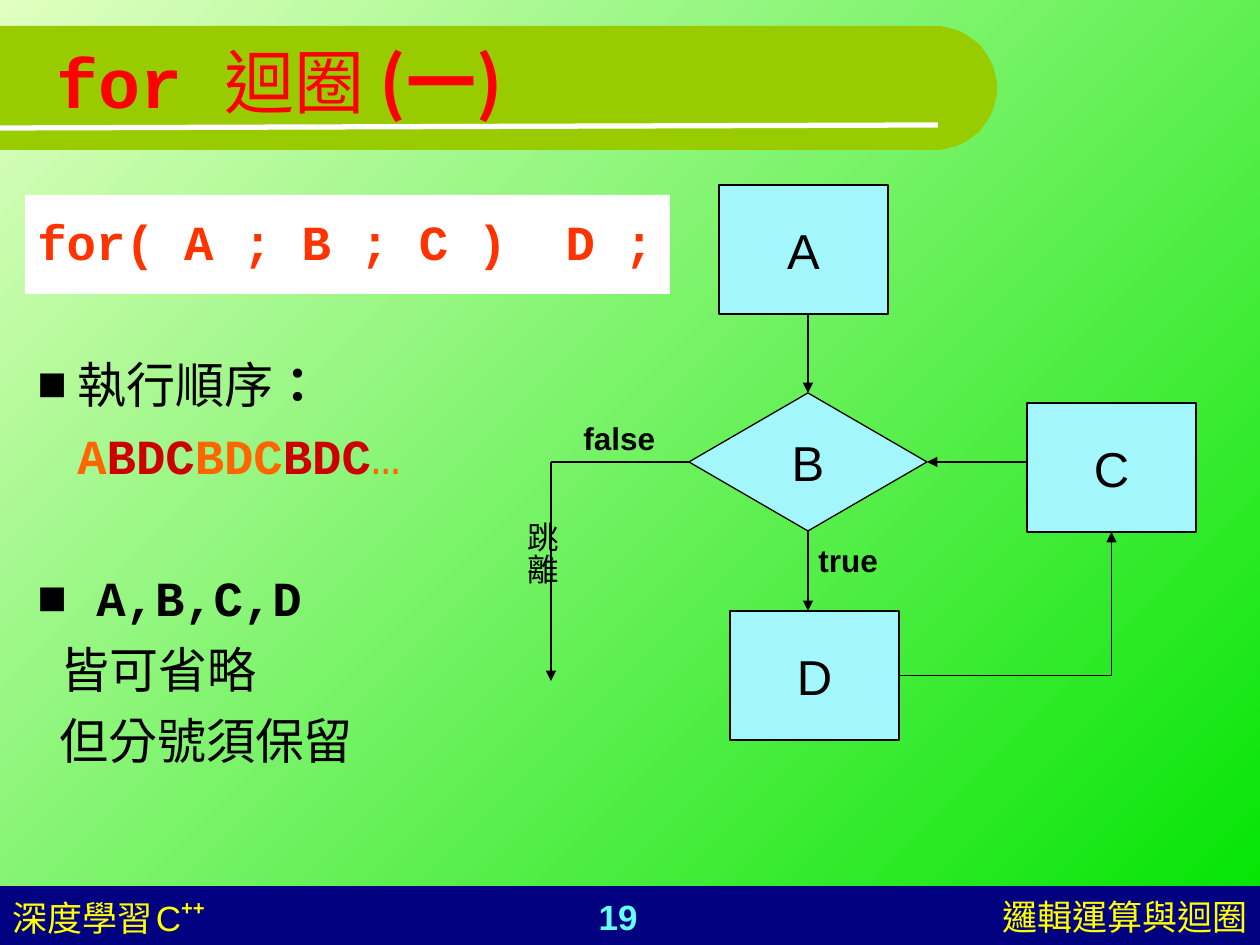
from dataclasses import dataclass
from math import cos, pi, sin

from lxml.etree import SubElement
from pptx import Presentation
from pptx.dml.color import RGBColor
from pptx.enum.shapes import MSO_CONNECTOR as Link, MSO_SHAPE as Shape
from pptx.enum.text import MSO_ANCHOR as Anchor, MSO_AUTO_SIZE as Fit, PP_ALIGN as Align
from pptx.oxml.ns import qn
from pptx.util import Emu, Pt

SCALE = 914400 / 126  # EMU in one px
TOP, LEFT, BOTTOM, RIGHT = range(4)


def px(n):
    return Emu(round(n * SCALE))


@dataclass(frozen=True)
class Theme:
    sans: str = "Arial"
    mono: str = "Courier New"
    cjk: str = "Noto Sans CJK SC"
    title_size: int = 40
    body_size: int = 28
    foot_size: int = 20
    label_size: int = 18
    bg_from: str = "E0FFC1"
    bg_to: str = "00E400"
    band: str = "99CC00"
    navy: str = "000080"
    white: str = "FFFFFF"
    black: str = "000000"
    box: str = "A2F6FC"
    title: str = "FF0000"
    code: str = "FF3300"
    orange: str = "FF6600"
    red: str = "CC0000"
    yellow: str = "FFFF00"
    cyan: str = "66FFFF"


class Deck:
    def __init__(self, theme):
        self.t = theme
        self.prs = Presentation()
        self.prs.slide_width, self.prs.slide_height = px(1260), px(945)
        self.s = self.prs.slides.add_slide(self.prs.slide_layouts[5])

    def background(self):
        fill = self.s.background.fill
        fill.gradient()
        fill.gradient_angle = 315
        for stop, color in zip(fill.gradient_stops, (self.t.bg_from, self.t.bg_to)):
            stop.color.rgb = RGBColor.from_string(color)

    def paint(self, sp, fill, line=None):
        sp.shadow.inherit = False
        sp.fill.solid()
        sp.fill.fore_color.rgb = RGBColor.from_string(fill)
        if line:
            sp.line.color.rgb = RGBColor.from_string(line)
            sp.line.width = Pt(0.75)
        else:
            sp.line.fill.background()
        return sp

    def shape(self, kind, box, fill, line=None):
        return self.paint(self.s.shapes.add_shape(kind, *map(px, box)), fill, line)

    def outline(self, points, fill):
        builder = self.s.shapes.build_freeform(*points[0], scale=SCALE)
        builder.add_line_segments(points[1:], close=True)
        return self.paint(builder.convert_to_shape(), fill)

    def run(self, p, text, size, color, name, bold=False, raised=False):
        r = p.add_run()
        r.text = text
        font = {"size": Pt(size), "name": name, "bold": bold}
        for key, value in font.items():
            setattr(r.font, key, value)
        r.font.color.rgb = RGBColor.from_string(color)
        r_pr = r.font._element
        r_pr.set("lang", "zh-TW")
        SubElement(r_pr, qn("a:ea"), typeface=self.t.cjk)
        if raised:
            r_pr.set("baseline", "46000")

    def para(self, p, runs, base, align=Align.LEFT, before=0, margin=0, bullet=False):
        p_pr = p._p.get_or_add_pPr()
        p_pr.set("marL", str(px(margin)))
        p_pr.set("indent", str(px(-margin if bullet else 0)))
        if bullet:
            color = SubElement(p_pr, qn("a:buClr"))
            SubElement(color, qn("a:srgbClr"), val=self.t.black)
            SubElement(p_pr, qn("a:buFont"), typeface=self.t.sans)
            SubElement(p_pr, qn("a:buChar"), char="■")
        else:
            SubElement(p_pr, qn("a:buNone"))
        p.alignment = align
        p.space_before = Pt(before)
        for text, changes in runs:
            self.run(p, text, **{**base, **changes})

    def text(self, box, paras, base, wrap=True, vertical=False):
        sp = self.s.shapes.add_textbox(*map(px, box))
        tf = sp.text_frame
        tf.word_wrap = wrap
        tf.auto_size = Fit.NONE if wrap else Fit.SHAPE_TO_FIT_TEXT
        if vertical:
            tf._txBody.bodyPr.set("vert", "eaVert")
            for side, gap in {"left": 6, "right": 6, "top": 13, "bottom": 13}.items():
                setattr(tf, f"margin_{side}", px(gap))
        for i, (runs, options) in enumerate(paras):
            p = tf.add_paragraph() if i else tf.paragraphs[0]
            self.para(p, runs, base, **options)

    def title(self, box, runs, base):
        sp = self.s.shapes.title
        for key, value in zip(("left", "top", "width", "height"), box):
            setattr(sp, key, px(value))
        tf = sp.text_frame
        tf.vertical_anchor, tf.word_wrap, tf.auto_size = Anchor.MIDDLE, True, Fit.NONE
        self.para(tf.paragraphs[0], runs, base)
        self.s.shapes._spTree.append(sp._element)  # bring in front of the band

    def node(self, kind, box, name):
        sp = self.shape(kind, box, self.t.box, self.t.black)
        sp.text_frame.word_wrap = False
        sp.text_frame.vertical_anchor = Anchor.MIDDLE
        base = {"size": self.t.body_size, "color": self.t.black, "name": self.t.sans}
        self.para(sp.text_frame.paragraphs[0], [(name, {})], base, Align.CENTER)
        return sp

    def line(self, start, end, begin=None, finish=None, color=None, width=0.75,
             arrow=True, bent=False):
        kind = Link.ELBOW if bent else Link.STRAIGHT
        c = self.s.shapes.add_connector(kind, *map(px, (*start, *end)))
        if begin:
            c.begin_connect(*begin)
        if finish:
            c.end_connect(*finish)
        c.line.color.rgb = RGBColor.from_string(color or self.t.black)
        c.line.width = Pt(width)
        sp_pr = c._element.spPr
        if bent:
            sp_pr.find(qn("a:prstGeom")).set("prst", "bentConnector2")
        if arrow:
            SubElement(c.line._get_or_add_ln(), qn("a:tailEnd"), type="triangle")
        SubElement(sp_pr, qn("a:effectLst"))


def main():
    t = Theme()
    d = Deck(t)
    d.background()

    # Footer bar and title band with a round end
    d.shape(Shape.RECTANGLE, (0, 886, 1260, 59), t.navy)
    arc = [(935 + 62 * cos(a), 88 + 62 * sin(a))
           for a in (pi * (i / 40 - 0.5) for i in range(41))]
    d.outline([(0, 26), *arc, (0, 150)], t.band)
    d.line((0, 128), (938, 125), color=t.white, width=3, arrow=False)

    # Footer texts
    foot = {"size": t.foot_size, "color": t.yellow, "name": t.sans}
    d.text((471, 889, 294, 55), [([("19", {"color": t.cyan, "bold": True})],
                                  {"align": Align.CENTER})], foot)
    d.text((848, 889, 412, 55), [([("邏輯運算與迴圈", {})], {"align": Align.RIGHT})], foot)
    d.text((0, 889, 451, 55), [([("深度學習", {}), (" ", {"size": 8}), ("C", {}),
                                 ("++", {"bold": True, "raised": True})], {})], foot)

    # Title
    d.title((44, 26, 1180, 110),
            [("for ", {}), ("迴圈 ", {"bold": False}), ("(一)", {"name": t.cjk})],
            {"size": t.title_size, "color": t.title, "name": t.mono, "bold": True})

    # Syntax and order of execution
    d.shape(Shape.RECTANGLE, (25, 195, 645, 99), t.white)
    orange, red, plain = {"color": t.orange}, {"color": t.red}, {"bold": False}
    order = [("A", orange), ("BDC", red), ("BDC", orange), ("BDC", red),
             ("…", {**orange, **plain})]
    d.text((25, 205, 1160, 700), [
        ([("for( A ; B ; C )  D ;", {"color": t.code})], {}),
        ([("執行順序", plain), ("：", {})], {"before": 48, "margin": 40, "bullet": True}),
        (order, {"before": 7, "margin": 40}),
        ([("A,B,C,D", {})], {"before": 48, "margin": 59, "bullet": True}),
        ([("皆可省略", plain)], {"before": 7, "margin": 23}),
        ([("但分號須保留", plain)], {"before": 7, "margin": 22}),
    ], {"size": t.body_size, "color": t.black, "name": t.mono, "bold": True})

    # Flow chart
    d.node(Shape.RECTANGLE, (719, 185, 169, 129), "A")
    test = d.node(Shape.FLOWCHART_DECISION, (689, 393, 238, 138), "B")
    body = d.node(Shape.RECTANGLE, (730, 611, 169, 129), "D")
    step = d.node(Shape.RECTANGLE, (1027, 403, 169, 129), "C")
    d.line((808, 314), (808, 393), finish=(test, TOP))
    d.line((808, 531), (808, 611), begin=(test, BOTTOM))
    d.line((1027, 462), (927, 462), finish=(test, RIGHT))
    d.line((899, 676), (1111, 532), (body, RIGHT), (step, BOTTOM), bent=True)
    d.line((689, 462), (551, 462), begin=(test, LEFT), arrow=False)
    d.line((551, 462), (551, 681))

    # Branch labels, wide enough for one line each
    label = {"size": t.label_size, "color": t.black, "name": t.sans}
    for name, box in {"false": (571, 413, 104, 50), "true": (806, 535, 96, 50)}.items():
        d.text(box, [([(name, {"bold": True})], {})], label, wrap=False)
    d.text((504, 509, 63, 76), [([("跳離", {})], {})], label, wrap=False, vertical=True)

    d.prs.save("out.pptx")


if __name__ == "__main__":
    main()
